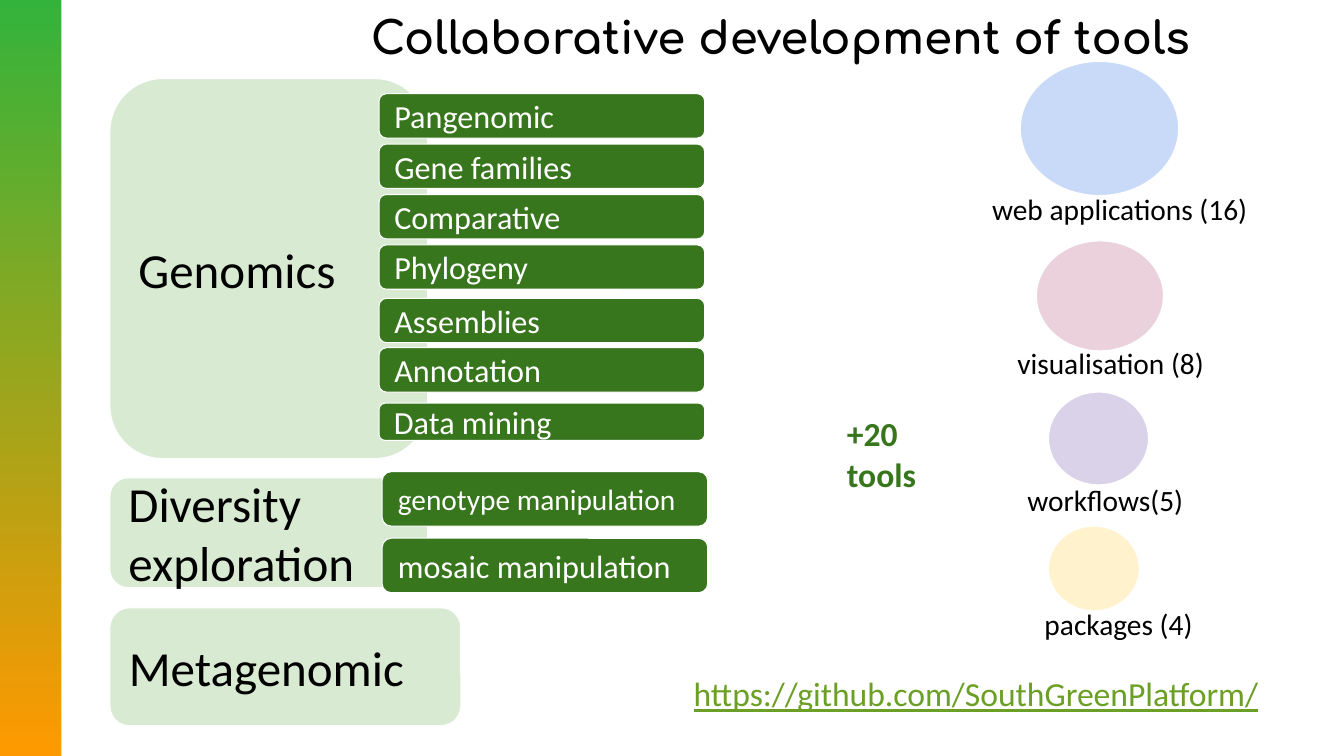
from pptx import Presentation
from pptx.dml.color import RGBColor
from pptx.enum.shapes import MSO_SHAPE
from pptx.enum.text import MSO_ANCHOR, PP_ALIGN
from pptx.util import Emu, Pt

PX = 9144  # 100 px to the inch
SLIDE_SIZE = (1333, 750)
INSET = 13

BLACK, WHITE = "000000", "FFFFFF"
DARK_GREEN, PALE_GREEN, LINK_GREEN = "38761D", "D9EAD3", "6B9F25"
GRADIENT = ("33B33B", "FF9900")

TITLE = "Collaborative development of tools"
# text, top, width, height
DOMAINS = [
    ("Metagenomic", 603, 348, 117),
    ("Diversity exploration", 474, 315, 109),
    ("Genomics", 78, 315, 377),
]
DOMAIN_LEFT = 109
# text, left, top, height, text size
TOPICS = [
    ("Pangenomic", 376, 93, 44, 23),
    ("Gene families", 376, 143, 44, 23),
    ("Comparative", 376, 193, 44, 23),
    ("Phylogeny", 376, 243, 44, 23),
    ("Assemblies", 376, 296, 44, 23),
    ("Annotation", 376, 345, 44, 23),
    ("Data mining", 376, 400, 37, 23),
    ("genotype manipulation", 379, 468, 54, 21),
    ("mosaic manipulation", 379, 534, 54, 23),
]
TOPIC_WIDTH = 323
# colour, circle box, label, label box, label alignment
TOOL_KINDS = [
    ("C9DAF8", (1012, 61, 157, 133), "web applications (16)", (949, 177, 323, 62), PP_ALIGN.CENTER),
    ("EAD1DC", (1028, 239, 126, 109), "visualisation (8)", (940, 329, 323, 62), PP_ALIGN.CENTER),
    ("D9D2E9", (1040, 389, 99, 92), "workflows(5)", (1006, 465, 187, 62), PP_ALIGN.LEFT),
    ("FFF2CC", (1040, 522, 90, 84), "packages (4)", (1023, 588, 187, 62), PP_ALIGN.LEFT),
]
TOTAL = "+20 tools"
ADDRESS = "https://github.com/SouthGreenPlatform/"


def rgb(value):
    return RGBColor.from_string(value)


def to_emu(box):
    return [Emu(length * PX) for length in box]


def write(shape, text, size, color, font="Calibri", bold=False, underline=False,
          align=PP_ALIGN.LEFT, anchor=MSO_ANCHOR.MIDDLE):
    frame = shape.text_frame
    frame.word_wrap = True
    frame.vertical_anchor = anchor
    frame.margin_left = frame.margin_right = Emu(INSET * PX)
    frame.margin_top = frame.margin_bottom = Emu(INSET * PX)
    frame.text = text
    paragraph = frame.paragraphs[0]
    paragraph.alignment = align
    run_font = paragraph.runs[0].font
    run_font.name, run_font.size = font, Pt(size)
    run_font.bold, run_font.underline = bold, underline
    run_font.color.rgb = rgb(color)


def add_text(slide, box, text, size, color, **style):
    write(slide.shapes.add_textbox(*to_emu(box)), text, size, color, **style)


def add_filled(slide, kind, box, fill, outlined=True):
    shape = slide.shapes.add_shape(kind, *to_emu(box))
    shape.shadow.inherit = False
    shape.fill.solid()
    shape.fill.fore_color.rgb = rgb(fill)
    if outlined:
        shape.line.color.rgb = rgb(WHITE)
        shape.line.width = Pt(0.75)
    else:
        shape.line.fill.background()
    return shape


def paint_background(slide):
    fill = slide.background.fill
    fill.gradient()
    fill.gradient_angle = 270
    for stop, color, position in zip(fill.gradient_stops, GRADIENT, (0, 1)):
        stop.color.rgb = rgb(color)
        stop.position = position
    add_filled(slide, MSO_SHAPE.RECTANGLE, (61, 0, 1272, 750), WHITE, outlined=False)


def main():
    presentation = Presentation()
    presentation.slide_width, presentation.slide_height = to_emu(SLIDE_SIZE)
    slide = presentation.slides.add_slide(presentation.slide_layouts[6])
    paint_background(slide)
    add_text(slide, (355, 6, 974, 60), TITLE, 32, BLACK, font="Comfortaa", bold=True)

    for text, top, width, height in DOMAINS:
        box = (DOMAIN_LEFT, top, width, height)
        panel = add_filled(slide, MSO_SHAPE.ROUNDED_RECTANGLE, box, PALE_GREEN)
        write(panel, text, 35, BLACK)

    for text, left, top, height, size in TOPICS:
        box = (left, top, TOPIC_WIDTH, height)
        bar = add_filled(slide, MSO_SHAPE.ROUNDED_RECTANGLE, box, DARK_GREEN)
        write(bar, text, size, WHITE)

    for color, circle_box, label, label_box, align in TOOL_KINDS:
        add_filled(slide, MSO_SHAPE.OVAL, circle_box, color)
        add_text(slide, label_box, label, 21, BLACK, align=align, anchor=MSO_ANCHOR.TOP)

    add_text(slide, (827, 397, 147, 108), TOTAL, 24, DARK_GREEN, bold=True,
             anchor=MSO_ANCHOR.TOP)
    add_text(slide, (675, 655, 644, 67), ADDRESS, 24, LINK_GREEN, underline=True,
             anchor=MSO_ANCHOR.TOP)
    presentation.save("out.pptx")


if __name__ == "__main__":
    main()
